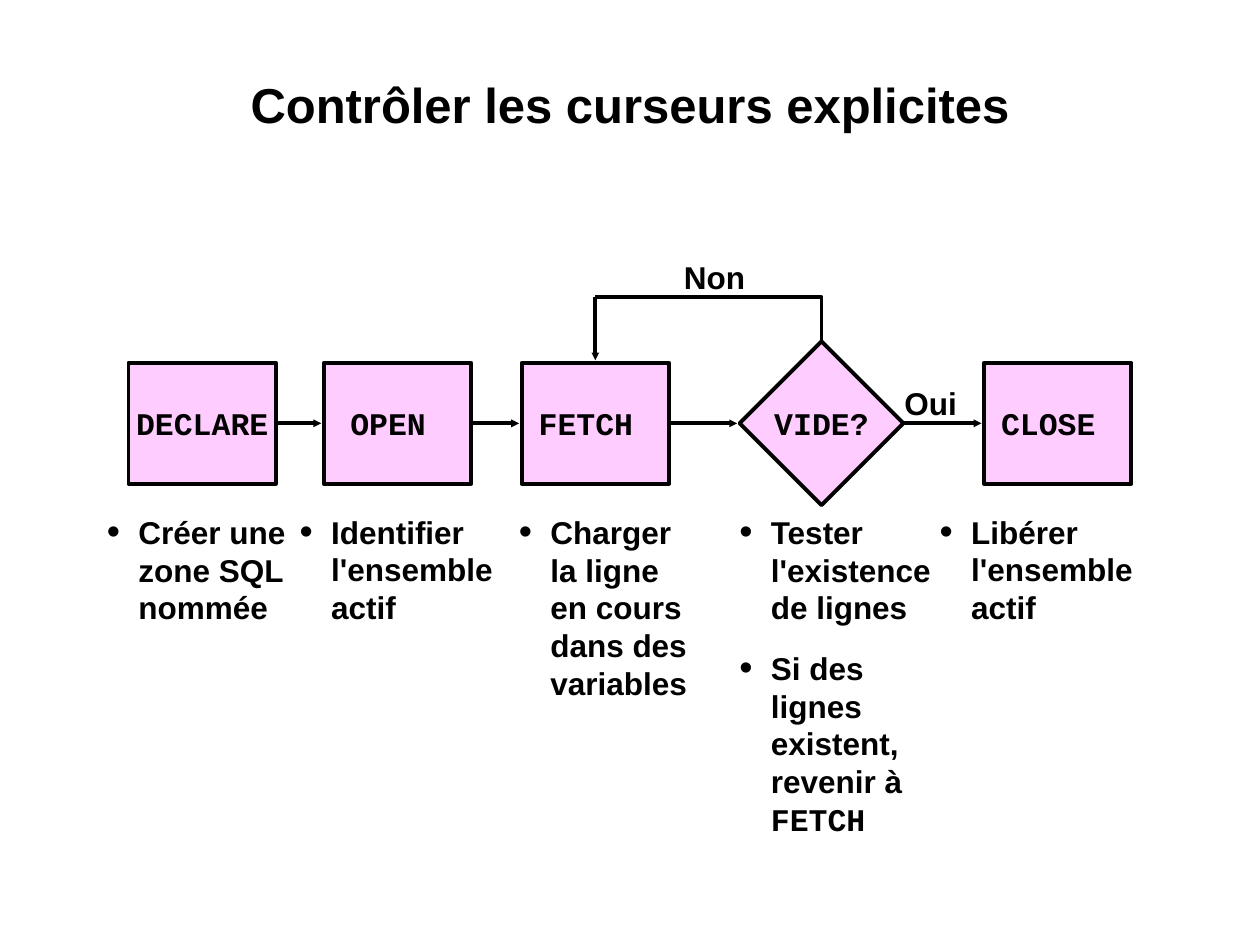
from lxml import etree
from pptx import Presentation
from pptx.dml.color import RGBColor
from pptx.enum.shapes import MSO_CONNECTOR, MSO_SHAPE
from pptx.enum.text import MSO_ANCHOR, PP_ALIGN
from pptx.oxml.ns import qn
from pptx.util import Inches, Pt

BLACK = RGBColor(0x00, 0x00, 0x00)
PINK = RGBColor(0xFF, 0xCC, 0xFF)
SANS, MONO = "Arial", "Courier New"

# Content: steps as (label, shape, left, width, height)
TITLE = "Contrôler les curseurs explicites"
BOX, DIAMOND = MSO_SHAPE.RECTANGLE, MSO_SHAPE.DIAMOND
STEPS = [
    ("DECLARE", BOX, 1.02, 1.17, 0.96),
    ("OPEN ", BOX, 2.57, 1.17, 0.96),
    ("FETCH ", BOX, 4.14, 1.17, 0.96),
    ("VIDE?", DIAMOND, 5.87, 1.3, 1.3),
    ("CLOSE ", BOX, 7.81, 1.17, 0.96),
]
# Notes as (runs, left, top, width, height)
NOTES_TOP = 4.02
NOTES = [
    ([("Créer une zone SQL nommée", SANS)], 0.75, NOTES_TOP, 1.69, 1.01),
    ([("Identifier l'ensemble actif", SANS)], 2.28, NOTES_TOP, 1.9, 0.8),
    ([("Charger la ligne en cours dans des variables", SANS)],
     4.02, NOTES_TOP, 1.56, 1.42),
    ([("Tester l'existence de lignes", SANS)], 5.77, NOTES_TOP, 1.83, 1.22),
    ([("Si des lignes existent, revenir à ", SANS), ("FETCH", MONO)],
     5.77, 5.1, 1.9, 1.56),
    ([("Libérer l'ensemble actif", SANS)], 7.36, NOTES_TOP, 1.9, 0.8),
]
BRANCHES = [("Non", 5.33, 2.0, 0.76), ("Oui", 7.08, 3.0, 0.69)]
FLOW_Y, LOOP_Y = 3.36, 2.36
TIP_GAP = 0.02

prs = Presentation()
prs.slide_width, prs.slide_height = Inches(10), Inches(7.5)
slide = prs.slides.add_slide(prs.slide_layouts[6])
shapes = slide.shapes


def write(shape, runs, size=18, align=PP_ALIGN.LEFT, anchor=MSO_ANCHOR.TOP,
          wrap=True, bullet=False, margins=(0.1, 0.05)):
    """Fill a shape with one paragraph made of (text, font) runs."""
    frame = shape.text_frame
    frame.word_wrap = wrap
    frame.vertical_anchor = anchor
    frame.margin_left = frame.margin_right = Inches(margins[0])
    frame.margin_top = frame.margin_bottom = Inches(margins[1])
    paragraph = frame.paragraphs[0]
    paragraph.alignment = align
    if bullet:
        props = paragraph._p.get_or_add_pPr()
        props.set("marL", str(Inches(0.25)))
        props.set("indent", str(-Inches(0.25)))
        etree.SubElement(props, qn("a:buSzPct")).set("val", "120000")
        etree.SubElement(props, qn("a:buFont")).set("typeface", SANS)
        etree.SubElement(props, qn("a:buChar")).set("char", "•")
    for text, font_name in runs:
        run = paragraph.add_run()
        run.text = text
        run.font.name = font_name
        run.font.size = Pt(size)
        run.font.bold = True
        run.font.color.rgb = BLACK


def add_box(left, top, width, height):
    return shapes.add_textbox(*map(Inches, (left, top, width, height)))


def outline(shape):
    shape.line.color.rgb = BLACK
    shape.line.width = Pt(2.25)


def add_arrow(x1, y1, x2, y2):
    arrow = shapes.add_connector(MSO_CONNECTOR.STRAIGHT,
                                 *map(Inches, (x1, y1, x2, y2)))
    outline(arrow)
    head = etree.SubElement(arrow.line._get_or_add_ln(), qn("a:tailEnd"))
    for key, value in (("type", "triangle"), ("w", "sm"), ("len", "sm")):
        head.set(key, value)
    etree.SubElement(arrow._element.spPr, qn("a:effectLst"))


# Title
write(add_box(1, 0.58, 8, 0.96), [(TITLE, SANS)], size=28,
      align=PP_ALIGN.CENTER, margins=(0.01, 0.01))

# Steps, centred on the flow line
for label, kind, left, width, height in STEPS:
    step = shapes.add_shape(kind, *map(Inches, (
        left, FLOW_Y - height / 2, width, height)))
    step.shadow.inherit = False
    step.fill.solid()
    step.fill.fore_color.rgb = PINK
    outline(step)
    write(step, [(label, MONO)], align=PP_ALIGN.CENTER,
          anchor=MSO_ANCHOR.MIDDLE, wrap=False)

# Arrows between neighbouring steps
for (_, _, left, width, _), (_, _, next_left, _, _) in zip(STEPS, STEPS[1:]):
    add_arrow(left + width, FLOW_Y, next_left - TIP_GAP, FLOW_Y)

# Loop from the test back to FETCH
_, _, fetch_left, fetch_width, fetch_height = STEPS[2]
_, _, test_left, test_width, test_height = STEPS[3]
fetch_x = fetch_left + fetch_width / 2
test_x = test_left + test_width / 2
builder = shapes.build_freeform(Inches(test_x),
                                Inches(FLOW_Y - test_height / 2))
builder.add_line_segments([(Inches(test_x), Inches(LOOP_Y)),
                           (Inches(fetch_x), Inches(LOOP_Y))], close=False)
loop = builder.convert_to_shape()
loop.shadow.inherit = False
loop.fill.background()
outline(loop)
add_arrow(fetch_x, LOOP_Y, fetch_x, FLOW_Y - fetch_height / 2 - TIP_GAP)

# Branch labels
for label, left, top, width in BRANCHES:
    write(add_box(left, top, width, 0.4), [(label, SANS)], wrap=False)

# Notes under the steps
for runs, *place in NOTES:
    write(add_box(*place), runs, bullet=True)

prs.save("out.pptx")
